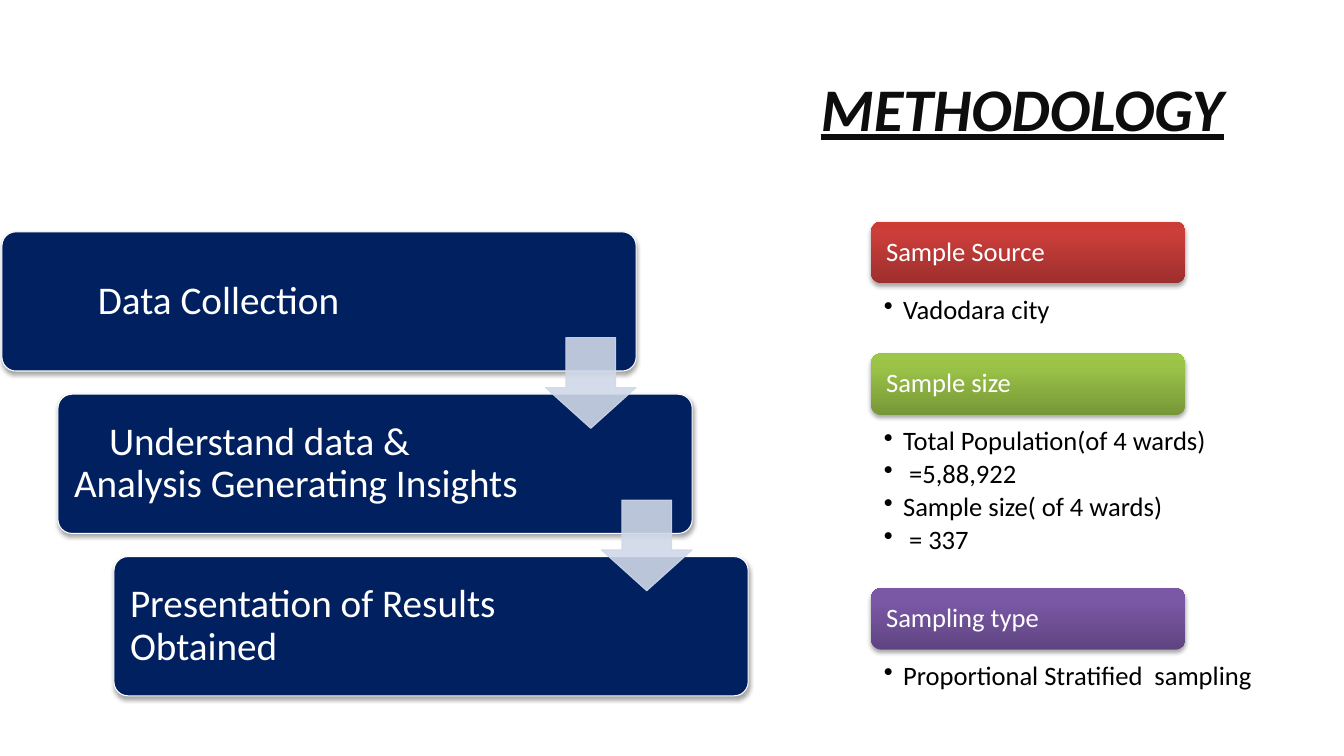
import copy

import pptx
import pptx.dml.color
import pptx.enum.shapes
import pptx.enum.text
import pptx.oxml
import pptx.oxml.ns
import pptx.util

Pt = pptx.util.Pt
SHAPE = pptx.enum.shapes.MSO_SHAPE
ANCHOR = pptx.enum.text.MSO_ANCHOR
ALIGN = pptx.enum.text.PP_ALIGN
qn = pptx.oxml.ns.qn

STEPS = [
    ("Data Collection", 57),
    ("Understand data & Analysis Generating Insights", 25),
    ("Presentation of Results Obtained", 0),
]
SAMPLES = [
    ("Sample Source", ["9C2F2D", "CB3E3A", "CE3B37"], ["Vadodara city"]),
    ("Sample size", ["779737", "9BC348", "9DC746"],
     ["Total Population(of 4 wards)", " =5,88,922", "Sample size( of 4 wards)", " = 337"]),
    ("Sampling type", ["5F4480", "7B58A6", "7C57A8"], ["Proportional Stratified  sampling"]),
]


def rgb(value):
    """Return the colour for a hex string."""
    return pptx.dml.color.RGBColor.from_string(value)


def add_xml(parent, tag, **attrs):
    """Append a DrawingML child with the given attributes."""
    child = parent.makeelement(qn(tag), {k: str(v) for k, v in attrs.items()})
    parent.append(child)
    return child


def add_shadow(s):
    """Give a shape a soft shadow straight below it."""
    effects = s._element.spPr.find(qn("a:effectLst"))
    shadow = add_xml(effects, "a:outerShdw", blurRad=Pt(3.1), dist=Pt(1.8), dir=5400000, rotWithShape=0)
    add_xml(add_xml(shadow, "a:srgbClr", val="000000"), "a:alpha", val=35000)


def add_box(slide, kind, box, fill=None, line=None, adjust=()):
    """Add a preset shape with a plain fill and outline."""
    s = slide.shapes.add_shape(kind, *map(Pt, box))
    s.shadow.inherit = False
    for i, value in enumerate(adjust):
        s.adjustments[i] = value
    if fill:
        s.fill.solid()
        s.fill.fore_color.rgb = rgb(fill)
    if line:
        s.line.color.rgb = rgb(line)
        s.line.width = Pt(0.75)
    else:
        s.line.fill.background()
    return s


def set_text(s, lines, size, color, insets, anchor=ANCHOR.MIDDLE, align=ALIGN.LEFT, spacing=0.9, after=0, **font):
    """Write paragraphs into a shape and format them."""
    tf = s.text_frame
    left, top, right, bottom = map(Pt, insets)
    frame = {"word_wrap": True, "auto_size": pptx.enum.text.MSO_AUTO_SIZE.NONE, "vertical_anchor": anchor,
             "margin_left": left, "margin_top": top, "margin_right": right, "margin_bottom": bottom}
    for name, value in frame.items():
        setattr(tf, name, value)
    for i, line in enumerate(lines):
        p = tf.add_paragraph() if i else tf.paragraphs[0]
        for name, value in {"alignment": align, "line_spacing": spacing, "space_after": Pt(after)}.items():
            setattr(p, name, value)
        r = p.add_run()
        r.text = line
        r.font.color.rgb = rgb(color)
        for name, value in {"name": "Calibri", "size": Pt(size), **font}.items():
            setattr(r.font, name, value)
    return tf


def add_title(slide, box):
    """Place and format the title."""
    s = slide.shapes.title
    s.left, s.top, s.width, s.height = map(Pt, box)
    set_text(s, ["METHODOLOGY"], 43.2, "0D0D0D", (7.2, 3.6, 7.2, 3.6), align=ALIGN.CENTER, spacing=1.0,
             bold=True, italic=True, underline=True)


def add_arrow(slide, box):
    """Add a translucent arrow pointing down."""
    s = add_box(slide, SHAPE.DOWN_ARROW, box, "D0D8E8", "D0D8E8", (0.45, 0.55))
    s.adjustments[0], s.adjustments[1] = 0.55, 0.45
    for color in s._element.spPr.iter(qn("a:srgbClr")):
        add_xml(color, "a:alpha", val=90000)


def add_process(slide, box):
    """Draw the staggered steps, then the arrows between them."""
    x, y, width, height = box
    block_w, block_h, arrow = 453, 99.4, 64.8
    dx = (width - block_w) / (len(STEPS) - 1)
    dy = (height - block_h) / (len(STEPS) - 1)
    for i, (label, indent) in enumerate(STEPS):
        s = add_box(slide, SHAPE.ROUNDED_RECTANGLE, (x + i * dx, y + i * dy, block_w, block_h),
                    "002060", "FFFFFF", (0.1,))
        add_shadow(s)
        tf = set_text(s, [label], 28, "FFFFFF", (8.6, 8.6, 113, 8.6))
        tf.paragraphs[0]._p.get_or_add_pPr().set("indent", str(Pt(indent)))
    for i in range(len(STEPS) - 1):
        add_arrow(slide, (x + i * dx + block_w - arrow, y + i * dy + 75.6, arrow, arrow))


def add_header(slide, box, label, colors):
    """Add a gradient tab with a label."""
    s = add_box(slide, SHAPE.ROUNDED_RECTANGLE, box)
    s.fill.gradient()
    s.fill.gradient_angle = 90
    stops = s._element.spPr.find(".//" + qn("a:gsLst"))
    stops.append(copy.deepcopy(stops[-1]))
    for stop, position, color in zip(s.fill.gradient_stops, (0, 0.8, 1), colors):
        stop.position = position
        stop.color.rgb = rgb(color)
    add_shadow(s)
    set_text(s, [label], 19, "FFFFFF", (8.6, 0, 8.6, 0))


def add_samples(slide, box):
    """Stack the sample panels, each under its header tab."""
    x, y, width = box
    for label, colors, lines in SAMPLES:
        height = 39 + 24.5 * len(lines)
        s = add_box(slide, SHAPE.RECTANGLE, (x, y + 22.2, width, height), "FFFFFF")
        tf = set_text(s, lines, 19, "000000", (25.2, 31, 25.2, 10.8), ANCHOR.TOP, after=2.85)
        for p in tf.paragraphs:
            pPr = p._p.get_or_add_pPr()
            pPr.set("marL", str(Pt(13.7)))
            pPr.set("indent", str(Pt(-13.7)))
            add_xml(pPr, "a:buChar", char="•")
        add_header(slide, (x + 16, y, 224.6, 44), label, colors)
        y += 22.2 + height + 8.4


def main():
    """Build and save the slide."""
    prs = pptx.Presentation()
    prs.slide_width, prs.slide_height = Pt(960), Pt(540)
    slide = prs.slides.add_slide(prs.slide_layouts[5])
    add_title(slide, (534, 46, 392.4, 61))
    add_process(slide, (1.4, 165.6, 533, 331.4))
    add_samples(slide, (606.2, 158.4, 320.4))
    prs.save("out.pptx")


if __name__ == "__main__":
    main()
